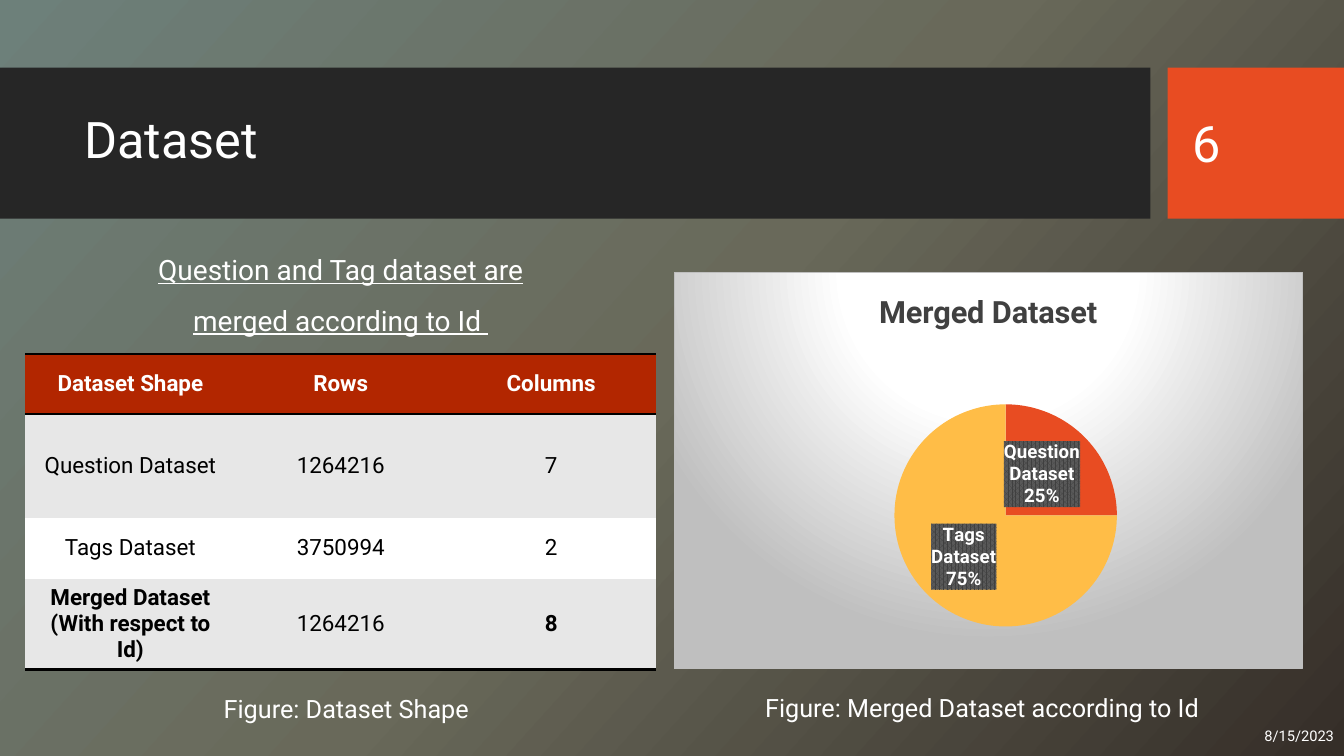
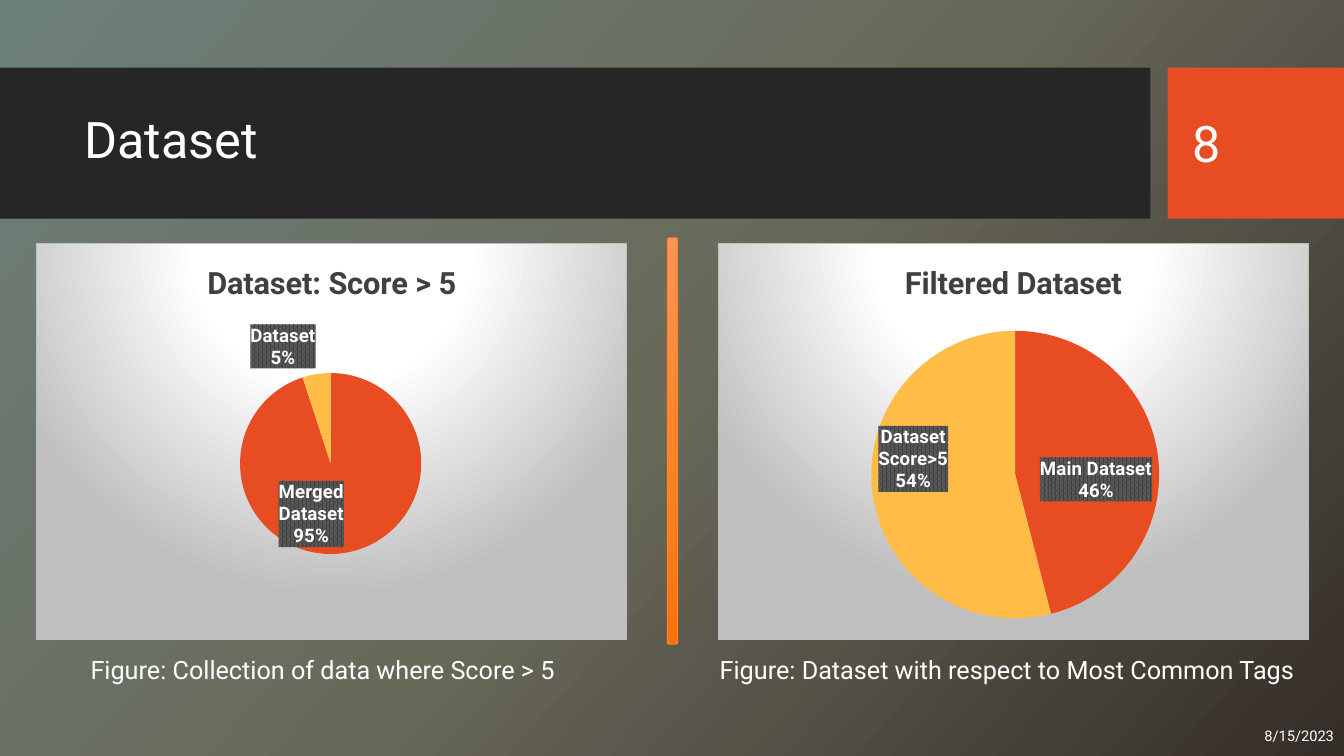
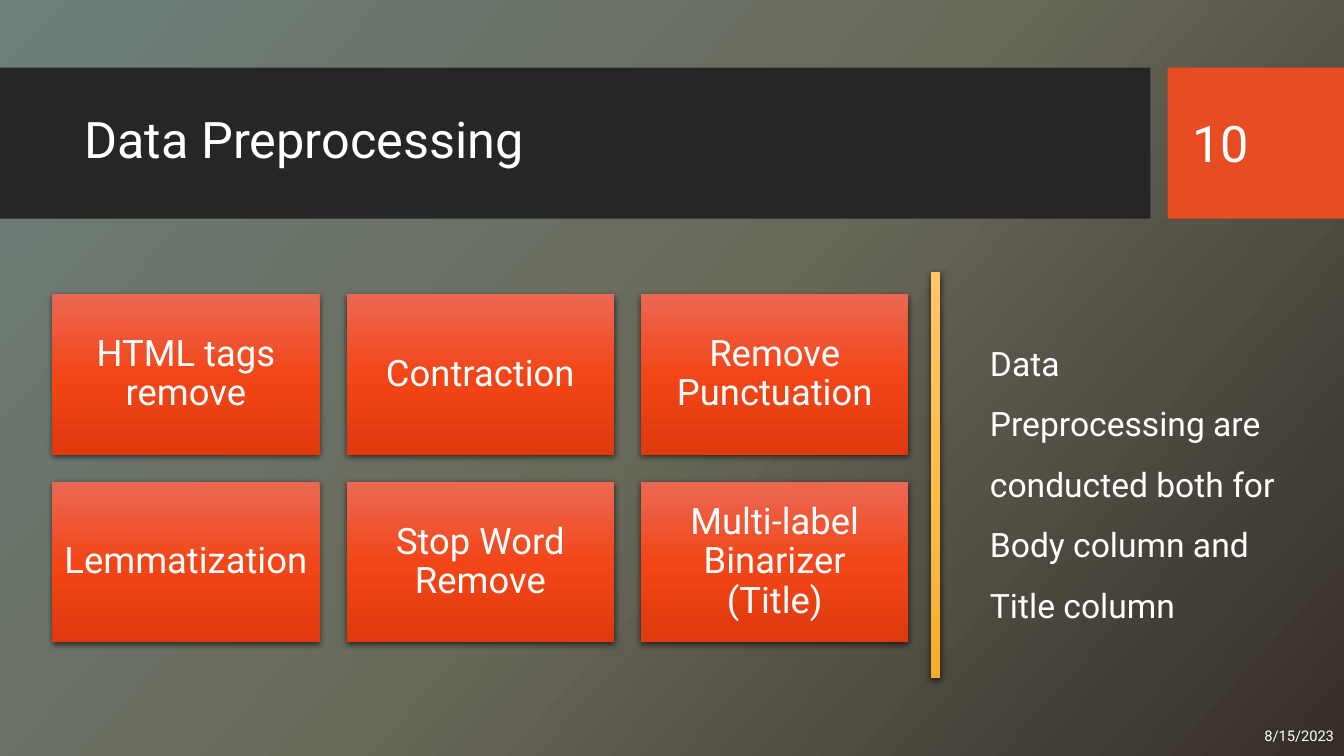
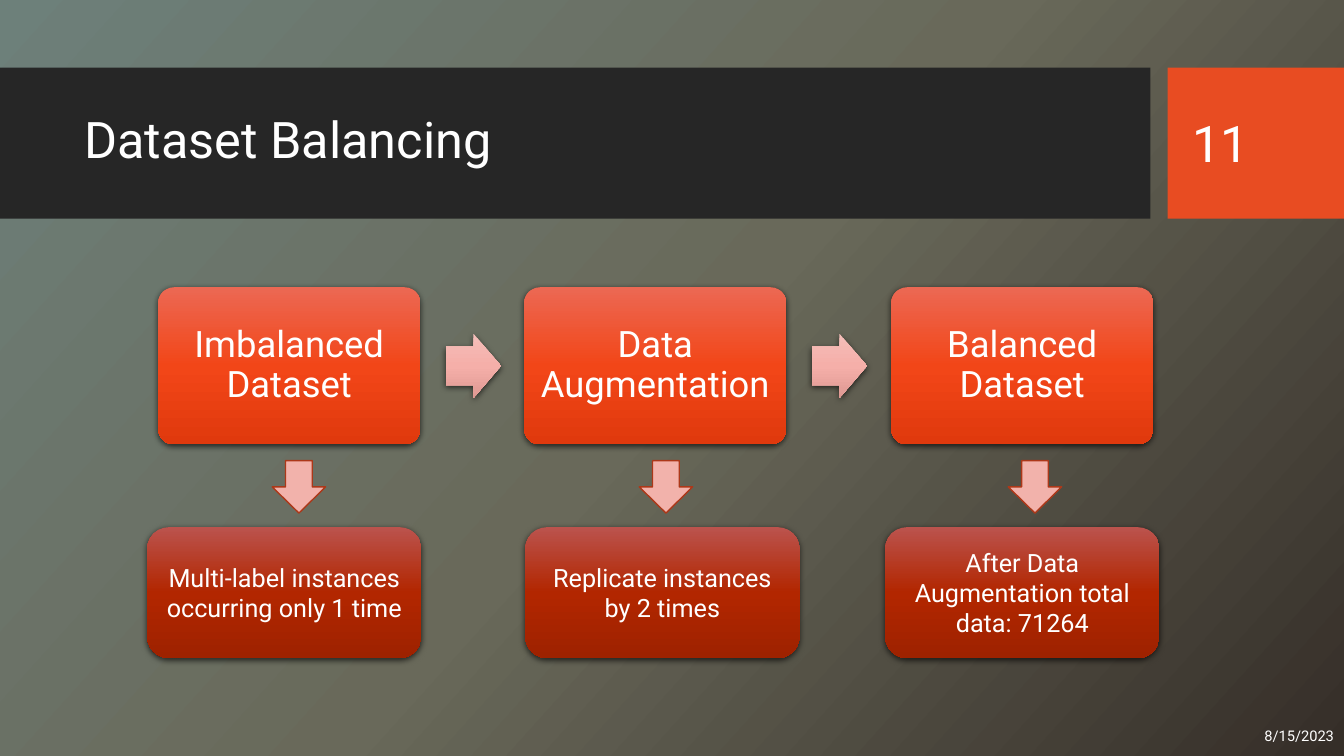
import copy
from dataclasses import dataclass
from typing import Any, Optional

import lxml.etree
import pptx
import pptx.chart.data
import pptx.dml.color
import pptx.enum.chart
import pptx.enum.shapes
import pptx.enum.text
import pptx.oxml.ns
import pptx.slide
import pptx.util

PX = 9144  # EMU in one px, 100 px to the inch
FONT = "Roboto"
DATE = "8/15/2023"
COLORS = {
    "white": "FFFFFF", "black": "000000", "band": "262626", "orange": "E84C22",
    "yellow": "FFBD47", "brick": "B22600", "chart_title": "404040",
    "chart_edge": "BFBFBF", "label_back": "595959", "row_grey": "E7E7E7",
    "bar_edge": "FF8427", "arrow": "F2B2AB", "arrow_edge": "AC3819",
}
BACKGROUND = ((0, "6D807A"), (50, "69695A"), (100, "352E28"))
CHART_GLOW = ((0, "FFFFFF"), (39, "FFFFFF"), (100, "BFBFBF"))
ORANGE_GLOSS = ((0, "EC6853"), (50, "F24618"), (100, "E0390D"))
BRICK_GLOSS = ((0, "BB534D"), (50, "B22600"), (100, "9E2200"))
PINK_GLOSS = ((0, "F4BEB9"), (50, "F5AFA9"), (100, "DE9892"))
AMBER_GLOSS = ((0, "FF9458"), (50, "FF8427"), (100, "F8720D"))
YELLOW_GLOSS = ((0, "FFC569"), (50, "FFBD47"), (100, "F5AD2C"))
Stops = tuple[tuple[int, str], ...]

MSO = pptx.enum.shapes.MSO_SHAPE
ALIGN = pptx.enum.text.PP_ALIGN
ANCHOR = pptx.enum.text.MSO_ANCHOR
LABEL = pptx.enum.chart.XL_LABEL_POSITION
qn = pptx.oxml.ns.qn
Pt = pptx.util.Pt


@dataclass(frozen=True)
class Box:
    x: int
    y: int
    w: int
    h: int

    def emu(self) -> tuple[int, int, int, int]:
        return self.x * PX, self.y * PX, self.w * PX, self.h * PX


@dataclass(frozen=True)
class Style:
    size: float = 18
    color: str = "white"
    bold: bool = False
    underline: bool = False
    align: Any = ALIGN.LEFT
    anchor: Any = ANCHOR.TOP
    spacing: float = 1.0
    wrap: bool = True


TITLE = Style(36, anchor=ANCHOR.MIDDLE, spacing=0.9)
NUMBER = Style(36, anchor=ANCHOR.MIDDLE)
DATE_STYLE = Style(10.5, align=ALIGN.RIGHT, anchor=ANCHOR.MIDDLE)
CAPTION = Style(wrap=False)
CARD = Style(26, align=ALIGN.CENTER, anchor=ANCHOR.MIDDLE, spacing=0.9)
DETAIL = Style(align=ALIGN.CENTER, anchor=ANCHOR.MIDDLE)


@dataclass(frozen=True)
class Pie:
    """A pie of two slices; left, top and diameter lie within the chart's box."""
    title: str
    slices: tuple[tuple[str, int], ...]
    box: Box
    left: int
    top: int
    diameter: int
    outside: Optional[int] = None


@dataclass(frozen=True)
class Stage:
    name: str
    detail: str
    x: int
    arrow_x: int
    detail_x: int


def rgb(name: str) -> pptx.dml.color.RGBColor:
    return pptx.dml.color.RGBColor.from_string(COLORS[name])


def sub(parent: Any, tag: str, **attrs: Any) -> Any:
    return lxml.etree.SubElement(parent, qn(tag), {k: str(v) for k, v in attrs.items()})


def add_stops(grad: Any, stops: Stops) -> None:
    gs_list = sub(grad, "a:gsLst")
    for pos, color in stops:
        sub(sub(gs_list, "a:gs", pos=pos * 1000), "a:srgbClr", val=color)


def linear_gradient(fill: Any, root: Any, stops: Stops, angle: int = 90) -> None:
    fill.gradient()
    grad = root.find(".//" + qn("a:gradFill"))
    for child in list(grad):
        grad.remove(child)
    add_stops(grad, stops)
    sub(grad, "a:lin", ang=angle * 60000, scaled=0)


def style_font(font: Any, style: Style) -> None:
    font.name, font.size = FONT, Pt(style.size)
    font.bold, font.underline = style.bold, style.underline
    font.color.rgb = rgb(style.color)


def write(tf: Any, text: str, style: Style) -> None:
    p = tf.paragraphs[0]
    p.alignment, p.line_spacing = style.align, style.spacing
    r = p.add_run()
    r.text = text
    style_font(r.font, style)


def add_text(s: pptx.slide.Slide, box: Box, text: str, style: Style) -> None:
    tf = s.shapes.add_textbox(*box.emu()).text_frame
    tf.word_wrap, tf.vertical_anchor = style.wrap, style.anchor
    write(tf, text, style)


def add_block(s: pptx.slide.Slide, kind: Any, box: Box, fill: str | Stops,
              line: Optional[str] = None, width: float = 1, shadow: bool = False,
              adjust: tuple[float, ...] = ()) -> Any:
    """Draw a preset shape; fill is a colour name or gradient stops."""
    sp = s.shapes.add_shape(kind, *box.emu())
    for i, value in enumerate(adjust):
        sp.adjustments[i] = value
    if isinstance(fill, str):
        sp.fill.solid()
        sp.fill.fore_color.rgb = rgb(fill)
    else:
        linear_gradient(sp.fill, sp.element, fill)
    if line:
        sp.line.color.rgb, sp.line.width = rgb(line), Pt(width)
    else:
        sp.line.fill.background()
    sp.shadow.inherit = False
    if shadow:
        effects = sp.element.spPr.find(qn("a:effectLst"))
        outer = sub(effects, "a:outerShdw", blurRad=57150, dist=19050, dir=5400000,
                    algn="ctr", rotWithShape=0)
        sub(sub(outer, "a:srgbClr", val=COLORS["black"]), "a:alpha", val=63000)
    return sp


def add_card(s: pptx.slide.Slide, kind: Any, box: Box, fill: Stops, text: str,
             style: Style, inset: int, adjust: tuple[float, ...] = ()) -> None:
    tf = add_block(s, kind, box, fill, shadow=True, adjust=adjust).text_frame
    tf.margin_left = tf.margin_right = tf.margin_top = tf.margin_bottom = inset * PX
    tf.word_wrap, tf.vertical_anchor = True, style.anchor
    write(tf, text, style)


def new_slide(prs: Any, title: str, number: int) -> pptx.slide.Slide:
    """Add a slide with background, bands, title, number and date."""
    s = prs.slides.add_slide(prs.slide_layouts[6])
    linear_gradient(s.background.fill, s.element, BACKGROUND, 42)
    add_block(s, MSO.RECTANGLE, Box(0, 67, 1141, 150), "band")
    add_block(s, MSO.RECTANGLE, Box(1158, 67, 175, 150), "orange")
    add_text(s, Box(74, 82, 1051, 118), title, TITLE)
    add_text(s, Box(1173, 82, 126, 119), str(number), NUMBER)
    add_text(s, Box(1033, 710, 300, 40), DATE, DATE_STYLE)
    return s


def fill_chart_area(chart: Any) -> None:
    area = lxml.etree.Element(qn("c:spPr"))
    grad = sub(area, "a:gradFill")
    add_stops(grad, CHART_GLOW)
    sub(sub(grad, "a:path", path="circle"), "a:fillToRect",
        l=50000, t=-80000, r=50000, b=180000)
    edge = sub(sub(area, "a:ln", w=9525), "a:solidFill")
    sub(edge, "a:srgbClr", val=COLORS["chart_edge"])
    chart.element.find(qn("c:chart")).addnext(area)


def place_pie(chart: Any, pie: Pie) -> None:
    plot_area = chart.element.find(".//" + qn("c:plotArea"))
    for old in plot_area.findall(qn("c:layout")):
        plot_area.remove(old)
    layout = lxml.etree.Element(qn("c:layout"))
    manual = sub(layout, "c:manualLayout")
    sub(manual, "c:layoutTarget", val="inner")
    sub(manual, "c:xMode", val="edge")
    sub(manual, "c:yMode", val="edge")
    sub(manual, "c:x", val=pie.left / pie.box.w)
    sub(manual, "c:y", val=pie.top / pie.box.h)
    sub(manual, "c:w", val=pie.diameter / pie.box.w)
    sub(manual, "c:h", val=pie.diameter / pie.box.h)
    plot_area.insert(0, layout)


def label_slices(series: Any, outside: Optional[int]) -> None:
    """Label slices inside their edge, apart from the one given as outside."""
    labels = series.data_labels
    labels.show_value = False
    labels.show_category_name = labels.show_percentage = True
    labels.position = LABEL.INSIDE_END
    style_font(labels.font, Style(13.3, bold=True))
    root = series.data_labels._element
    back = lxml.etree.Element(qn("c:spPr"))
    pattern = sub(back, "a:pattFill", prst="pct75")
    sub(sub(pattern, "a:fgClr"), "a:srgbClr", val=COLORS["chart_title"])
    sub(sub(pattern, "a:bgClr"), "a:srgbClr", val=COLORS["label_back"])
    root.find(qn("c:txPr")).addprevious(back)
    separator = lxml.etree.Element(qn("c:separator"))
    separator.text = "\n"
    root.find(qn("c:showBubbleSize")).addnext(separator)
    if outside is not None:
        single = lxml.etree.Element(qn("c:dLbl"))
        sub(single, "c:idx", val=outside)
        for child in root:
            if child.tag != qn("c:showLeaderLines"):
                single.append(copy.deepcopy(child))
        single.find(qn("c:dLblPos")).set("val", "outEnd")
        root.insert(0, single)


def add_pie(s: pptx.slide.Slide, pie: Pie) -> None:
    data = pptx.chart.data.CategoryChartData()
    data.categories = [name for name, _ in pie.slices]
    data.add_series(pie.title, [value for _, value in pie.slices])
    chart = s.shapes.add_chart(pptx.enum.chart.XL_CHART_TYPE.PIE, *pie.box.emu(), data).chart
    style_font(chart.font, Style(10))
    chart.has_legend, chart.has_title = False, True
    write(chart.chart_title.text_frame, pie.title, Style(22, "chart_title", bold=True,
                                                         align=ALIGN.CENTER))
    plot = chart.plots[0]
    plot.vary_by_categories = True
    series = plot.series[0]
    for i, color in enumerate(("orange", "yellow")):
        fill = series.points[i].format.fill
        fill.solid()
        fill.fore_color.rgb = rgb(color)
    label_slices(series, pie.outside)
    place_pie(chart, pie)
    fill_chart_area(chart)


def rule_cell(cell: Any, sides: tuple[str, ...]) -> None:
    """Rule the given sides (a:lnT, a:lnB) in black, ahead of the cell's fill."""
    props = cell._tc.get_or_add_tcPr()
    for i, side in enumerate(sides):
        ln = lxml.etree.Element(qn(side), {"w": str(Pt(2))})
        sub(sub(ln, "a:solidFill"), "a:srgbClr", val=COLORS["black"])
        props.insert(i, ln)


def add_shape_table(s: pptx.slide.Slide, box: Box) -> None:
    rows = (("Dataset Shape", "Rows", "Columns"),
            ("Question Dataset", "1264216", "7"),
            ("Tags Dataset", "3750994", "2"),
            ("Merged Dataset (With respect to Id)", "1264216", "8"))
    heights = (60, 103, 60, 89)
    fills = ("brick", "row_grey", "white", "row_grey")
    rules = (("a:lnT", "a:lnB"), (), (), ("a:lnB",))
    bold_cells = {(0, 0), (0, 1), (0, 2), (3, 0), (3, 2)}
    frame = s.shapes.add_table(len(rows), len(rows[0]), *box.emu())
    no_style = "{2D5ABB26-0587-4C30-8999-92F81FD0307C}"
    frame.element.find(".//" + qn("a:tableStyleId")).text = no_style
    table = frame.table
    for column in table.columns:
        column.width = box.w * PX // len(rows[0])
    for i, row in enumerate(rows):
        table.rows[i].height = heights[i] * PX
        for j, text in enumerate(row):
            cell = table.cell(i, j)
            cell.fill.solid()
            cell.fill.fore_color.rgb = rgb(fills[i])
            cell.vertical_anchor = ANCHOR.MIDDLE
            write(cell.text_frame, text, Style(16, "black" if i else "white",
                                               bold=(i, j) in bold_cells, align=ALIGN.CENTER))
            rule_cell(cell, rules[i])


def merged_dataset_slide(prs: Any) -> None:
    s = new_slide(prs, "Dataset", 6)
    add_pie(s, Pie("Merged Dataset", (("Question Dataset", 25), ("Tags Dataset", 75)),
                   Box(668, 270, 624, 394), 219, 131, 221))
    add_text(s, Box(108, 229, 460, 105), "Question and Tag dataset are merged according to Id ",
             Style(20, underline=True, align=ALIGN.CENTER, spacing=1.5))
    add_shape_table(s, Box(25, 351, 626, 312))
    add_text(s, Box(212, 683, 268, 40), "Figure: Dataset Shape", CAPTION)
    add_text(s, Box(749, 682, 461, 40), "Figure: Merged Dataset according to Id", CAPTION)


def filtered_dataset_slide(prs: Any) -> None:
    s = new_slide(prs, "Dataset", 8)
    add_pie(s, Pie("Dataset: Score > 5", (("Merged Dataset", 95), ("Dataset", 5)),
                   Box(36, 241, 586, 394), 202, 129, 180, outside=1))
    add_pie(s, Pie("Filtered Dataset", (("Main Dataset", 46), ("Dataset Score>5", 54)),
                   Box(712, 241, 586, 394), 152, 87, 286))
    add_block(s, MSO.ROUNDED_RECTANGLE, Box(662, 236, 10, 403), AMBER_GLOSS, "bar_edge", 0.75)
    add_text(s, Box(80, 644, 499, 40), "Figure: Collection of data where Score > 5", CAPTION)
    add_text(s, Box(704, 644, 600, 40), "Figure: Dataset with respect to Most Common Tags",
             CAPTION)


def preprocessing_slide(prs: Any) -> None:
    s = new_slide(prs, "Data Preprocessing", 10)
    steps = ("HTML tags remove", "Contraction", "Remove Punctuation",
             "Lemmatization", "Stop Word Remove", "Multi-label Binarizer (Title)")
    width, height, gap = 265, 159, 27
    for i, step in enumerate(steps):
        row, col = divmod(i, 3)
        box = Box(52 + col * (width + gap), 292 + row * (height + gap), width, height)
        add_card(s, MSO.RECTANGLE, box, ORANGE_GLOSS, step, CARD, 11)
    add_block(s, MSO.ROUNDED_RECTANGLE, Box(923, 270, 10, 403), YELLOW_GLOSS, shadow=True)
    add_text(s, Box(972, 315, 308, 313),
             "Data Preprocessing are conducted both for Body column and Title column",
             Style(24, spacing=1.5))


def balancing_slide(prs: Any) -> None:
    s = new_slide(prs, "Dataset Balancing", 11)
    stages = (
        Stage("Imbalanced Dataset", "Multi-label instances occurring only 1 time", 157, 270, 146),
        Stage("Data Augmentation", "Replicate instances by 2 times", 520, 634, 521),
        Stage("Balanced Dataset", "After Data Augmentation total data: 71264", 884, 1000, 878),
    )
    for i, stage in enumerate(stages):
        add_card(s, MSO.ROUNDED_RECTANGLE, Box(stage.x, 285, 260, 156), ORANGE_GLOSS,
                 stage.name, CARD, 11, (0.1,))
        if i < len(stages) - 1:
            add_block(s, MSO.RIGHT_ARROW, Box(stage.x + 285, 331, 55, 64), PINK_GLOSS,
                      shadow=True, adjust=(0.6, 0.5))
        add_block(s, MSO.DOWN_ARROW, Box(stage.arrow_x, 457, 53, 52), "arrow", "arrow_edge")
        add_card(s, MSO.ROUNDED_RECTANGLE, Box(stage.detail_x, 523, 272, 130), BRICK_GLOSS,
                 stage.detail, DETAIL, 10)


def main() -> None:
    prs = pptx.Presentation()
    prs.slide_width, prs.slide_height = 1333 * PX, 750 * PX
    merged_dataset_slide(prs)
    filtered_dataset_slide(prs)
    preprocessing_slide(prs)
    balancing_slide(prs)
    prs.save("out.pptx")


if __name__ == "__main__":
    main()
